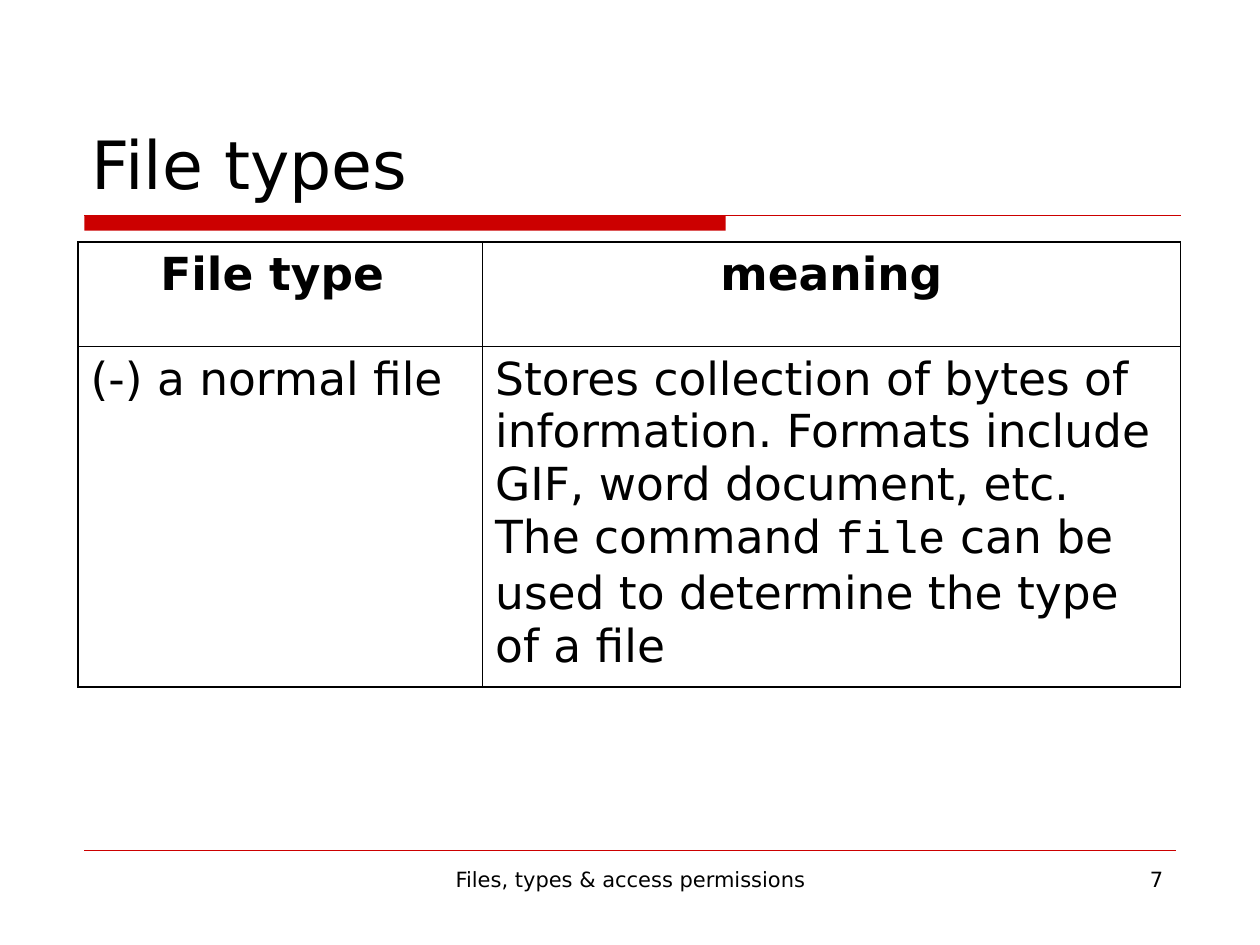
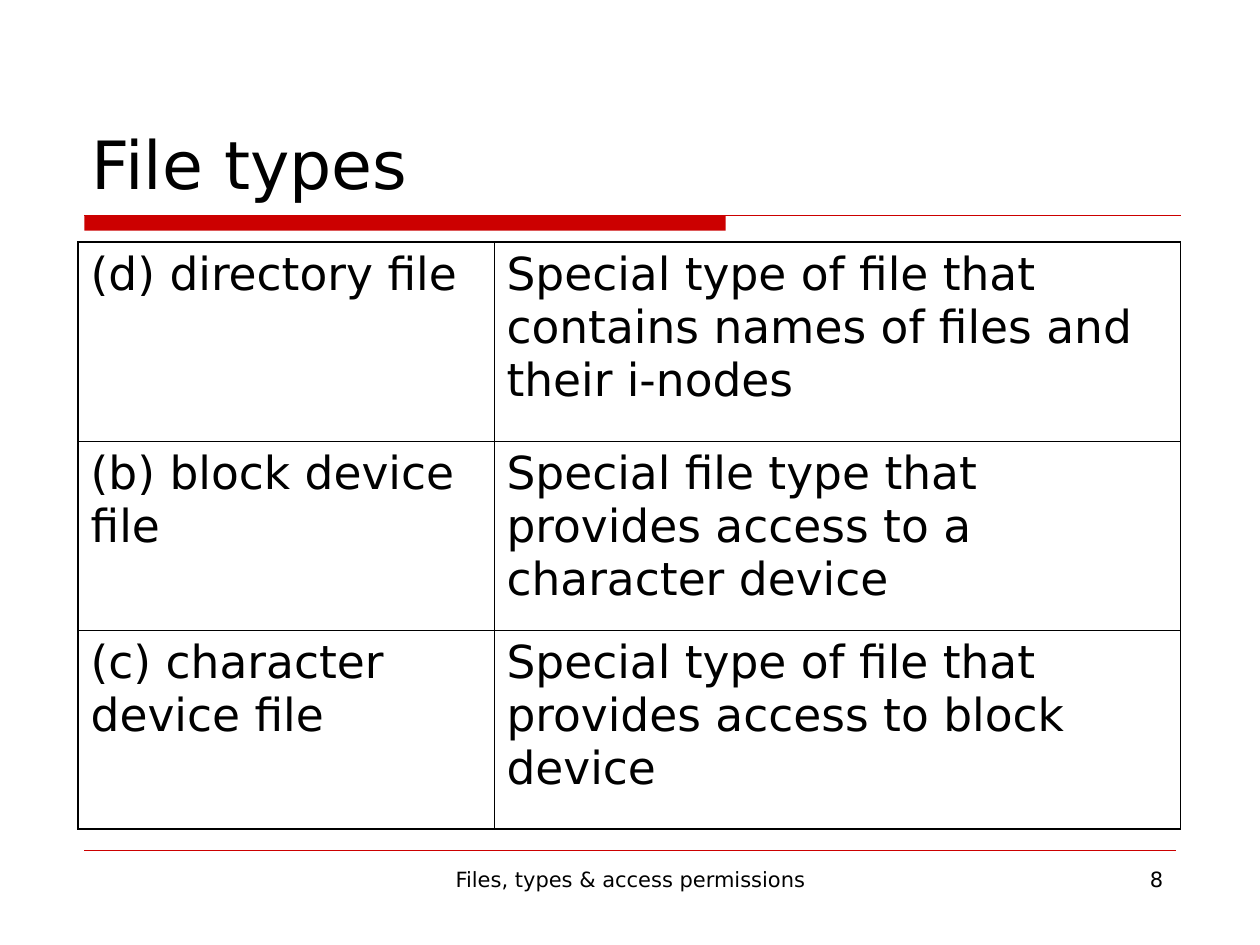
from dataclasses import dataclass

from lxml.etree import SubElement
from pptx import Presentation
from pptx.dml.color import RGBColor
from pptx.enum.shapes import MSO_CONNECTOR as Connector, MSO_SHAPE as Shape
from pptx.enum.text import MSO_ANCHOR as Anchor, PP_ALIGN as Align
from pptx.oxml import parse_xml
from pptx.oxml.ns import nsdecls, qn
from pptx.util import Inches, Pt


@dataclass(frozen=True)
class Theme:
    ink: str = "000000"
    accent: str = "CC0000"
    font: str = "DejaVu Sans"
    code_font: str = "Courier New"
    title_size: float = 38
    table_size: float = 26
    footer_size: float = 12
    cell_space: float = 6.5
    outer_border: float = 1.08
    inner_border: float = 0.45
    header_rule: float = 0.75
    footer_rule: float = 0.25


@dataclass(frozen=True)
class Box:
    left: float
    top: float
    width: float
    height: float

    def lengths(self):
        return [Inches(v) for v in (self.left, self.top, self.width, self.height)]


THEME = Theme()
HEADER = Box(0.63, 0.33, 8.75, 1.5)
FOOTER = Box(0.67, 6.75, 8.66, 0.6)
TABLE_LEFT, TABLE_TOP, TABLE_WIDTH = 0.62, 1.92, 8.75

TITLE = "File types"
FOOTER_TEXT = "Files, types & access permissions"
FIRST_PAGE = 7
# A cell is a string, or a list whose odd items are set in the code font.
PAGES = [
    dict(
        rows=[
            ("File type ", "meaning"),
            ("(-) a normal file",
             ["Stores collection of bytes of information. Formats include GIF, "
              "word document, etc. The command ", "file",
              " can be used to determine the type of a file"]),
        ],
        heights=[0.83, 2.7], first_column=3.21, has_header=True,
    ),
    dict(
        rows=[
            ("(d) directory file",
             "Special type of file that contains names of files and their i-nodes"),
            ("(b) block device file",
             "Special file type that provides access to a character device"),
            ("(c) character device file",
             "Special type of file that provides access to block device"),
        ],
        heights=[1.58, 1.5, 1.58], first_column=3.3, has_header=False,
    ),
]


def style_run(run, size, font=THEME.font, bold=False):
    run.font.size = Pt(size)
    run.font.name = font
    run.font.bold = bold
    run.font.color.rgb = RGBColor.from_string(THEME.ink)


def add_text(slide, box, text, size, align=Align.LEFT, anchor=Anchor.TOP):
    frame = slide.shapes.add_textbox(*box.lengths()).text_frame
    frame.word_wrap = True
    frame.vertical_anchor = anchor
    frame.text = text
    paragraph = frame.paragraphs[0]
    paragraph.alignment = align
    style_run(paragraph.runs[0], size)


def add_rule(slide, left, top, width, weight):
    rule = slide.shapes.add_connector(
        Connector.STRAIGHT, Inches(left), Inches(top), Inches(left + width), Inches(top))
    rule.line.color.rgb = RGBColor.from_string(THEME.accent)
    rule.line.width = Pt(weight)
    SubElement(rule._element.spPr, qn("a:effectLst"))


def add_header(slide, box, title):
    band_height = 0.12
    title_height = 1.33
    band_left = box.left + 0.04
    band_top = box.top + box.height - band_height
    band = slide.shapes.add_shape(
        Shape.RECTANGLE, *Box(band_left, band_top, 5.09, band_height).lengths())
    band.shadow.inherit = False
    band.fill.solid()
    band.fill.fore_color.rgb = RGBColor.from_string(THEME.accent)
    band.line.fill.background()
    add_rule(slide, band_left, band_top, 8.7, THEME.header_rule)
    add_text(slide, Box(box.left, box.top, box.width, title_height), title,
             THEME.title_size, anchor=Anchor.BOTTOM)


def add_footer(slide, box, text, page):
    add_rule(slide, box.left, box.top, box.width, THEME.footer_rule)
    top, height = box.top + 0.08, box.height - 0.08
    number_width = 2.17
    add_text(slide, Box(box.left + 2.75, top, 3.17, height), text,
             THEME.footer_size, Align.CENTER)
    add_text(slide, Box(box.left + box.width - number_width, top, number_width, height),
             str(page), THEME.footer_size, Align.RIGHT)


def set_borders(cell, outer_edges):
    """Draw the cell's edges, heavier where they are on the table's outline."""
    properties = cell._tc.get_or_add_tcPr()
    for position, (side, is_outer) in enumerate(outer_edges.items()):
        weight = THEME.outer_border if is_outer else THEME.inner_border
        properties.insert(position, parse_xml(
            f'<a:ln{side} {nsdecls("a")} w="{Pt(weight)}"><a:solidFill>'
            f'<a:srgbClr val="{THEME.ink}"/></a:solidFill></a:ln{side}>'))


def fill_cell(cell, content, is_header):
    cell.fill.background()
    cell.margin_left = cell.margin_right = Inches(0.1)
    cell.margin_top = cell.margin_bottom = Inches(0.05)
    paragraph = cell.text_frame.paragraphs[0]
    paragraph.space_before = Pt(THEME.cell_space)
    paragraph.alignment = Align.CENTER if is_header else Align.LEFT
    pieces = [content] if isinstance(content, str) else content
    for index, piece in enumerate(pieces):
        run = paragraph.add_run()
        run.text = piece
        style_run(run, THEME.table_size,
                  THEME.code_font if index % 2 else THEME.font, is_header)


def add_file_table(slide, box, rows, heights, first_column, has_header):
    table = slide.shapes.add_table(len(rows), 2, *box.lengths()).table
    table.first_row = has_header
    table.horz_banding = False
    for column, width in zip(table.columns, (first_column, box.width - first_column)):
        column.width = Inches(width)
    last_row = len(rows) - 1
    for r, (contents, height) in enumerate(zip(rows, heights)):
        table.rows[r].height = Inches(height)
        for c, content in enumerate(contents):
            cell = table.cell(r, c)
            fill_cell(cell, content, has_header and r == 0)
            set_borders(cell, {"L": c == 0, "R": c == 1, "T": r == 0, "B": r == last_row})


def add_file_types_slide(deck, page_number, page):
    slide = deck.slides.add_slide(deck.slide_layouts[6])
    add_header(slide, HEADER, TITLE)
    add_footer(slide, FOOTER, FOOTER_TEXT, page_number)
    table_box = Box(TABLE_LEFT, TABLE_TOP, TABLE_WIDTH, sum(page["heights"]))
    add_file_table(slide, table_box, **page)


def main():
    deck = Presentation()
    deck.slide_width, deck.slide_height = Inches(10), Inches(7.5)
    for page_number, page in enumerate(PAGES, start=FIRST_PAGE):
        add_file_types_slide(deck, page_number, page)
    deck.save("out.pptx")


if __name__ == "__main__":
    main()
